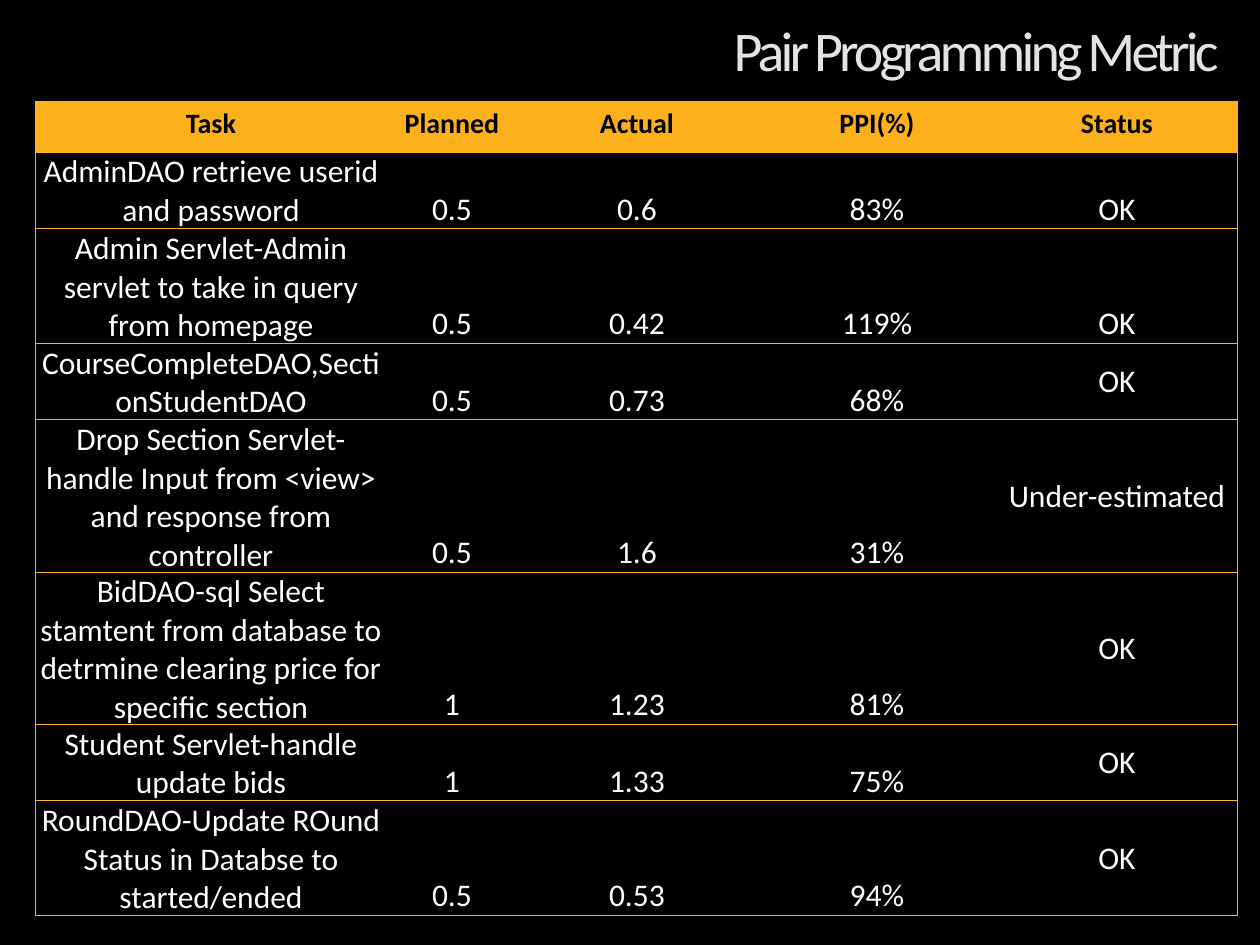
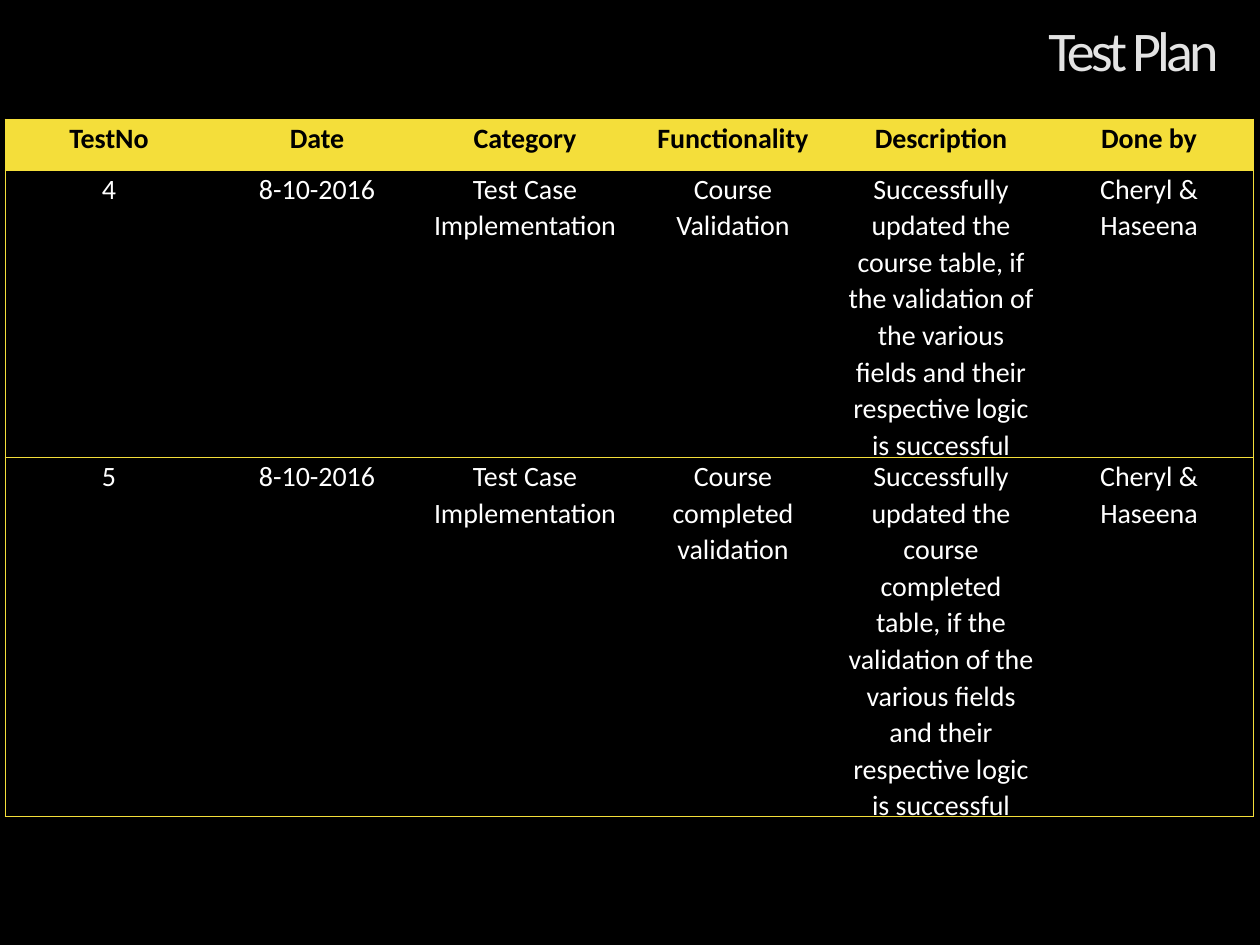
from dataclasses import dataclass

from lxml import etree
from pptx import Presentation
from pptx.dml.color import RGBColor
from pptx.enum.text import MSO_ANCHOR, PP_ALIGN
from pptx.oxml.ns import qn
from pptx.util import Emu, Pt

TOP, MID, LOW = MSO_ANCHOR.TOP, MSO_ANCHOR.MIDDLE, MSO_ANCHOR.BOTTOM
MIDST, RIGHT = PP_ALIGN.CENTER, PP_ALIGN.RIGHT
SCALE = 914400 / 126
SIDES = ("L", "R", "T", "B")


def px(count):
    return Emu(round(count * SCALE))


@dataclass(frozen=True)
class Theme:
    font: str = "Calibri"
    back: str = "000000"
    ink: str = "FFFFFF"
    dark: str = "000000"
    title: str = "E3E3E3"
    amber: str = "FCB11C"
    lemon: str = "F4DE3A"
    big: int = 32
    mid: int = 18
    small: int = 16
    track: int = -220  # hundredths of a point
    rule: float = 0.5


@dataclass(frozen=True)
class Grid:
    """Place and text format of one table."""
    box: tuple
    cols: list
    hue: str
    size: int
    lead: float
    pads: tuple  # left, top, right, bottom of body cells
    crown: tuple  # the same for header cells
    tall: int = 51


class Deck:
    def __init__(self, theme):
        self.theme = theme
        self.show = Presentation()
        self.show.slide_width, self.show.slide_height = px(1260), px(945)
        self.slide = None

    def page(self, title):
        self.slide = self.show.slides.add_slide(self.show.slide_layouts[6])
        fill = self.slide.background.fill
        fill.solid()
        fill.fore_color.rgb = RGBColor.from_string(self.theme.back)
        self.title(title)

    def label(self, frame, text, size, hue, align, lead, bold=False):
        para = frame.paragraphs[0]
        para.alignment, para.line_spacing = align, lead
        run = para.add_run()
        run.text = text
        form = {"name": self.theme.font, "size": Pt(size), "bold": bold}
        for key, value in form.items():
            setattr(run.font, key, value)
        run.font.color.rgb = RGBColor.from_string(hue)
        return run

    def title(self, text):
        box = self.slide.shapes.add_textbox(*map(px, (145, -38, 1086, 183)))
        frame = box.text_frame
        frame.word_wrap, frame.vertical_anchor = True, MID
        run = self.label(frame, text, self.theme.big, self.theme.title,
                         RIGHT, 0.9)
        run._r.get_or_add_rPr().set("spc", str(self.theme.track))

    def edge(self, cell, hue, sides):
        """Rule the named sides and clear the others."""
        props = cell._tc.get_or_add_tcPr()
        for side in SIDES:
            line = etree.SubElement(props, qn("a:ln" + side),
                                    w=str(Pt(self.theme.rule)))
            if side in sides:
                fill = etree.SubElement(line, qn("a:solidFill"))
                etree.SubElement(fill, qn("a:srgbClr"), val=hue)
            else:
                etree.SubElement(line, qn("a:noFill"))

    def table(self, grid, rows, anchor):
        """Draw rows; anchor(row, col) places the text of body cells."""
        wide = len(grid.cols)
        shape = self.slide.shapes.add_table(len(rows), wide,
                                            *map(px, grid.box))
        table = shape.table
        table.first_row = table.horz_banding = False
        for col, width in zip(table.columns, grid.cols):
            col.width = px(width)
        for row in table.rows:
            row.height = px(grid.tall)
        shape.height = px(grid.box[3])

        for r, row in enumerate(rows):
            head = r == 0
            for c, text in enumerate(row):
                cell = table.cell(r, c)
                pads = map(px, grid.crown if head else grid.pads)
                form = dict(zip(("margin_left", "margin_top",
                                 "margin_right", "margin_bottom"), pads))
                form["vertical_anchor"] = TOP if head else anchor(r, c)
                for key, value in form.items():
                    setattr(cell, key, value)
                sides = "T" if head else "TB"
                sides += "L" * (c == 0) + "R" * (c == wide - 1)
                self.edge(cell, grid.hue, sides)
                cell.fill.solid()
                cell.fill.fore_color.rgb = RGBColor.from_string(
                    grid.hue if head else self.theme.back)
                self.label(cell.text_frame, text,
                           self.theme.small if head else grid.size,
                           self.theme.dark if head else self.theme.ink,
                           MIDST, grid.lead, head)


PAIRS = [
    ("Task", "Planned", "Actual", "PPI(%)", "Status"),
    ("AdminDAO retrieve userid and password", "0.5", "0.6", "83%", "OK"),
    ("Admin Servlet-Admin servlet to take in query from homepage",
     "0.5", "0.42", "119%", "OK"),
    ("CourseCompleteDAO,SectionStudentDAO", "0.5", "0.73", "68%", "OK"),
    ("Drop Section Servlet-handle Input from <view> and response from "
     "controller", "0.5", "1.6", "31%", "Under-estimated"),
    ("BidDAO-sql Select stamtent from database to detrmine clearing price "
     "for specific section", "1", "1.23", "81%", "OK"),
    ("Student Servlet-handle update bids", "1", "1.33", "75%", "OK"),
    ("RoundDAO-Update ROund Status in Databse to started/ended",
     "0.5", "0.53", "94%", "OK"),
]


def test(number, task, table):
    return (number, "8-10-2016", "Test Case Implementation", task,
            f"Successfully updated the {table} table, if the validation of "
            "the various fields and their respective logic is successful",
            "Cheryl & Haseena")


TESTS = [
    ("TestNo", "Date", "Category", "Functionality", "Description", "Done by"),
    test("4", "Course Validation", "course"),
    test("5", "Course completed validation", "course completed"),
]


def main():
    theme = Theme()
    deck = Deck(theme)

    # Pair programming: the status is centred from the third task on
    deck.page("Pair Programming Metric")
    grid = Grid((35, 101, 1203, 817), [352, 130] + [240] * 3, theme.amber,
                theme.mid, 1.0, (1, 1, 1, 0), (13, 6, 13, 6))
    deck.table(grid, PAIRS, lambda r, c: MID if c == 4 and r > 2 else LOW)

    # Test plan: six equal columns
    deck.page("Test Plan")
    pads = (9, 0, 9, 0)
    grid = Grid((5, 119, 1248, 698), [208] * 6, theme.lemon,
                theme.small, 1.07, pads, pads)
    deck.table(grid, TESTS, lambda r, c: TOP)

    deck.show.save("out.pptx")


if __name__ == "__main__":
    main()
